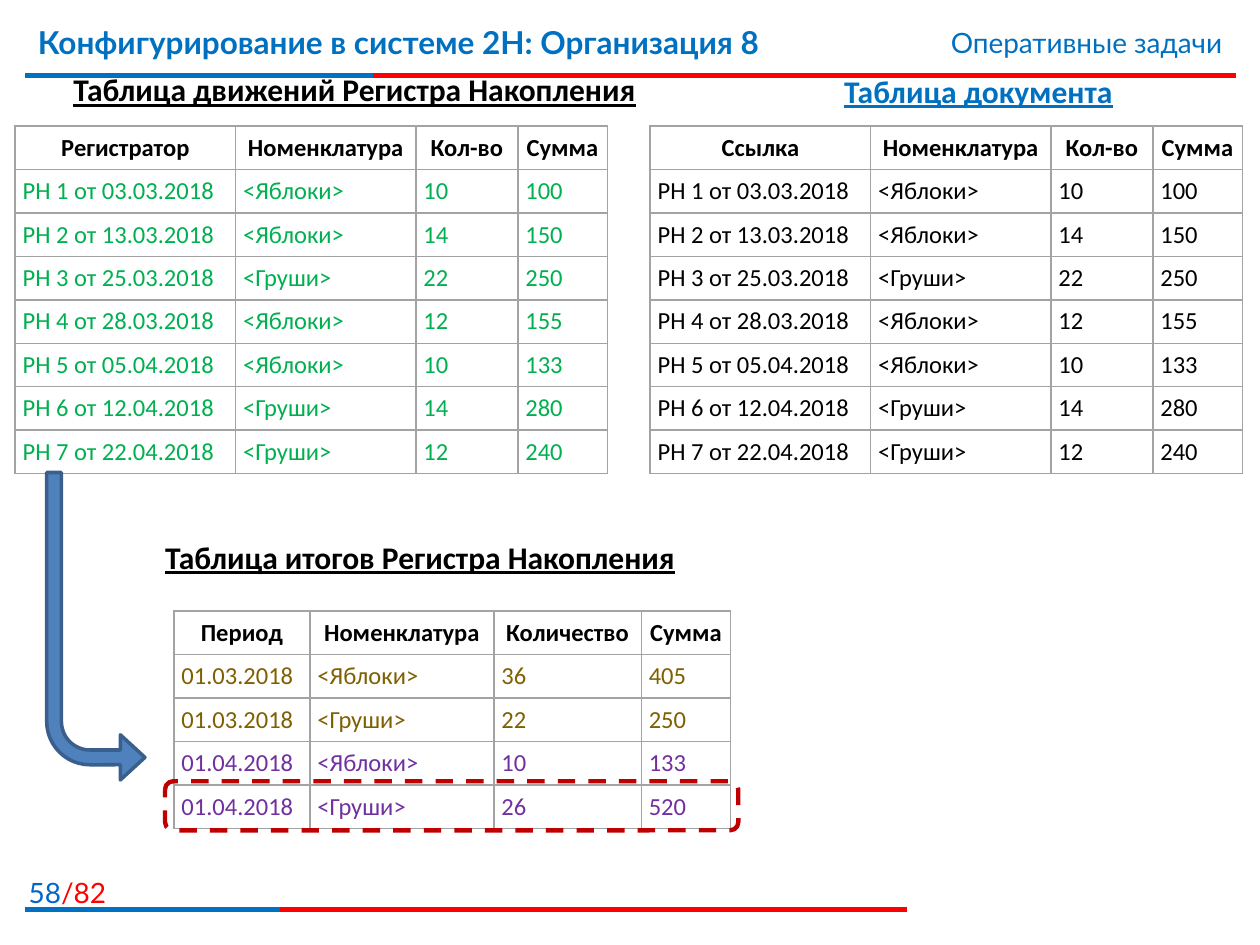
from dataclasses import dataclass

from lxml.etree import SubElement
from pptx import Presentation
from pptx.dml.color import RGBColor
from pptx.enum.dml import MSO_LINE_DASH_STYLE as Dash
from pptx.enum.shapes import MSO_CONNECTOR as Connector
from pptx.enum.shapes import MSO_SHAPE as Preset
from pptx.enum.text import MSO_ANCHOR as Anchor
from pptx.enum.text import MSO_AUTO_SIZE as AutoSize
from pptx.enum.text import PP_ALIGN as Align
from pptx.oxml.ns import qn
from pptx.util import Inches, Pt

COLORS = {
    "black": "000000", "blue": "0070C0", "page": "0066CC", "red": "FF0000",
    "green": "00B050", "olive": "7F6000", "purple": "7030A0", "grid": "A3A3A3",
    "arrow": "4F81BD", "arrow_line": "3A5F8C", "highlight": "C00000",
}
ROW_HEIGHT = 0.345


@dataclass
class Rule:
    y: float
    end: float
    color: str


@dataclass
class Label:
    text: str
    left: float
    top: float
    width: float
    height: float = 0.4
    color: str = "black"
    size: int = 18
    font: str = "Calibri"
    align: Align = Align.CENTER
    heading: bool = True


@dataclass
class Grid:
    left: float
    top: float
    widths: list[float]
    header: list[str]
    rows: list[tuple]
    row_colors: list[str]


def rgb(name: str) -> RGBColor:
    return RGBColor.from_string(COLORS[name])


def set_font(font, size: int, color: str, name: str = "Calibri", bold: bool = False) -> None:
    font.name, font.size, font.bold = name, Pt(size), bold
    font.color.rgb = rgb(color)


def draw_rule(slide, rule: Rule) -> None:
    y = Inches(rule.y)
    line = slide.shapes.add_connector(Connector.STRAIGHT, Inches(0.2), y, Inches(rule.end), y)
    line.line.color.rgb, line.line.width = rgb(rule.color), Pt(3)
    SubElement(line._element.spPr, qn("a:effectLst"))


def draw_label(slide, label: Label):
    box = slide.shapes.add_textbox(
        Inches(label.left), Inches(label.top), Inches(label.width), Inches(label.height))
    box.text_frame.word_wrap = True
    paragraph = box.text_frame.paragraphs[0]
    paragraph.text, paragraph.alignment = label.text, label.align
    set_font(paragraph.font, label.size, label.color, label.font, label.heading)
    paragraph.font.underline = label.heading
    return paragraph


def draw_borders(cell) -> None:
    properties = cell._tc.get_or_add_tcPr()
    for side in ("lnL", "lnR", "lnT", "lnB"):
        border = SubElement(properties, qn(f"a:{side}"), w=str(Pt(1)))
        fill = SubElement(border, qn("a:solidFill"))
        SubElement(fill, qn("a:srgbClr"), val=COLORS["grid"])


def draw_grid(slide, grid: Grid) -> None:
    rows = [grid.header, *grid.rows]
    table = slide.shapes.add_table(
        len(rows), len(grid.widths), Inches(grid.left), Inches(grid.top),
        Inches(sum(grid.widths)), Inches(ROW_HEIGHT * len(rows))).table
    table.first_row = table.horz_banding = False
    for column, width in zip(table.columns, grid.widths):
        column.width = Inches(width)
    for index, (values, color) in enumerate(zip(rows, ["black", *grid.row_colors])):
        table.rows[index].height = Inches(ROW_HEIGHT)
        for column, value in enumerate(values):
            cell = table.cell(index, column)
            draw_borders(cell)
            cell.fill.background()
            cell.margin_left = cell.margin_right = Inches(0.06)
            cell.margin_top = cell.margin_bottom = Inches(0.05)
            cell.vertical_anchor = Anchor.MIDDLE
            paragraph = cell.text_frame.paragraphs[0]
            paragraph.text = str(value)
            paragraph.alignment = Align.LEFT if index else Align.CENTER
            set_font(paragraph.font, 14, color, bold=index == 0)


def draw_title(slide) -> None:
    title = slide.shapes.title
    title.left, title.top = Inches(0.2), Inches(0.13)
    title.width, title.height = Inches(7.4), Inches(0.62)
    frame = title.text_frame
    frame.auto_size, frame.vertical_anchor = AutoSize.NONE, Anchor.TOP
    paragraph = frame.paragraphs[0]
    paragraph.text = "Конфигурирование в системе 2Н: Организация 8"
    paragraph.alignment = Align.LEFT
    paragraph.space_before = Pt(0)
    set_font(paragraph.font, 18, "blue", "Lato", True)


def draw_arrow(slide) -> None:
    arrow = slide.shapes.add_shape(
        Preset.BENT_ARROW, Inches(0.37), Inches(3.75), Inches(0.78), Inches(2.44))
    for index, value in enumerate((0.15, 0.23, 0.25, 0.44)):
        arrow.adjustments[index] = value
    arrow.rotation = 180
    arrow._element.spPr.xfrm.set("flipH", "1")
    arrow.shadow.inherit = False
    arrow.fill.solid()
    arrow.fill.fore_color.rgb = rgb("arrow")
    arrow.line.color.rgb, arrow.line.width = rgb("arrow_line"), Pt(2)


def draw_highlight(slide) -> None:
    frame = slide.shapes.add_shape(
        Preset.ROUNDED_RECTANGLE, Inches(1.31), Inches(6.2), Inches(4.55), Inches(0.39))
    frame.shadow.inherit = False
    frame.fill.background()
    frame.line.color.rgb, frame.line.width = rgb("highlight"), Pt(2.5)
    frame.line.dash_style = Dash.DASH


def main() -> None:
    presentation = Presentation()
    presentation.slide_width, presentation.slide_height = Inches(10), Inches(7.5)
    slide = presentation.slides.add_slide(presentation.slide_layouts[5])

    for rule in (Rule(0.6, 9.81, "red"), Rule(0.6, 2.96, "blue"),
                 Rule(7.22, 7.2, "red"), Rule(7.22, 2.22, "blue")):
        draw_rule(slide, rule)

    draw_title(slide)
    page = draw_label(slide, Label("58", -0.1, 6.9, 1.04, 0.32, "page", 16, "Lato",
                                   Align.RIGHT, False))
    total = page.add_run()
    total.text = "/82"
    total.font.color.rgb = rgb("red")

    for label in (
        Label("Оперативные задачи", 5.94, 0.15, 3.86, 0.37, "blue", 16, "Lato",
              Align.RIGHT, False),
        Label("Таблица документа", 5.56, 0.52, 4.41, color="blue"),
        Label("Таблица движений Регистра Накопления", 0.28, 0.51, 5.07),
        Label("Таблица итогов Регистра Накопления", 1.13, 4.22, 4.41),
    ):
        draw_label(slide, label)

    apples, pears = "<Яблоки>", "<Груши>"
    documents = [
        ("РН 1 от 03.03.2018", apples, 10, 100),
        ("РН 2 от 13.03.2018", apples, 14, 150),
        ("РН 3 от 25.03.2018", pears, 22, 250),
        ("РН 4 от 28.03.2018", apples, 12, 155),
        ("РН 5 от 05.04.2018", apples, 10, 133),
        ("РН 6 от 12.04.2018", pears, 14, 280),
        ("РН 7 от 22.04.2018", pears, 12, 240),
    ]
    totals = [
        ("01.03.2018", apples, 36, 405),
        ("01.03.2018", pears, 22, 250),
        ("01.04.2018", apples, 10, 133),
        ("01.04.2018", pears, 26, 520),
    ]
    for left, key, color in ((0.12, "Регистратор", "green"), (5.16, "Ссылка", "black")):
        draw_grid(slide, Grid(left, 1, [1.75, 1.43, 0.81, 0.71],
                              [key, "Номенклатура", "Кол-во", "Сумма"],
                              documents, [color] * len(documents)))
    draw_grid(slide, Grid(1.38, 4.85, [1.08, 1.46, 1.17, 0.71],
                          ["Период", "Номенклатура", "Количество", "Сумма"],
                          totals, ["olive", "olive", "purple", "purple"]))

    draw_arrow(slide)
    draw_highlight(slide)
    presentation.save("out.pptx")


if __name__ == "__main__":
    main()
